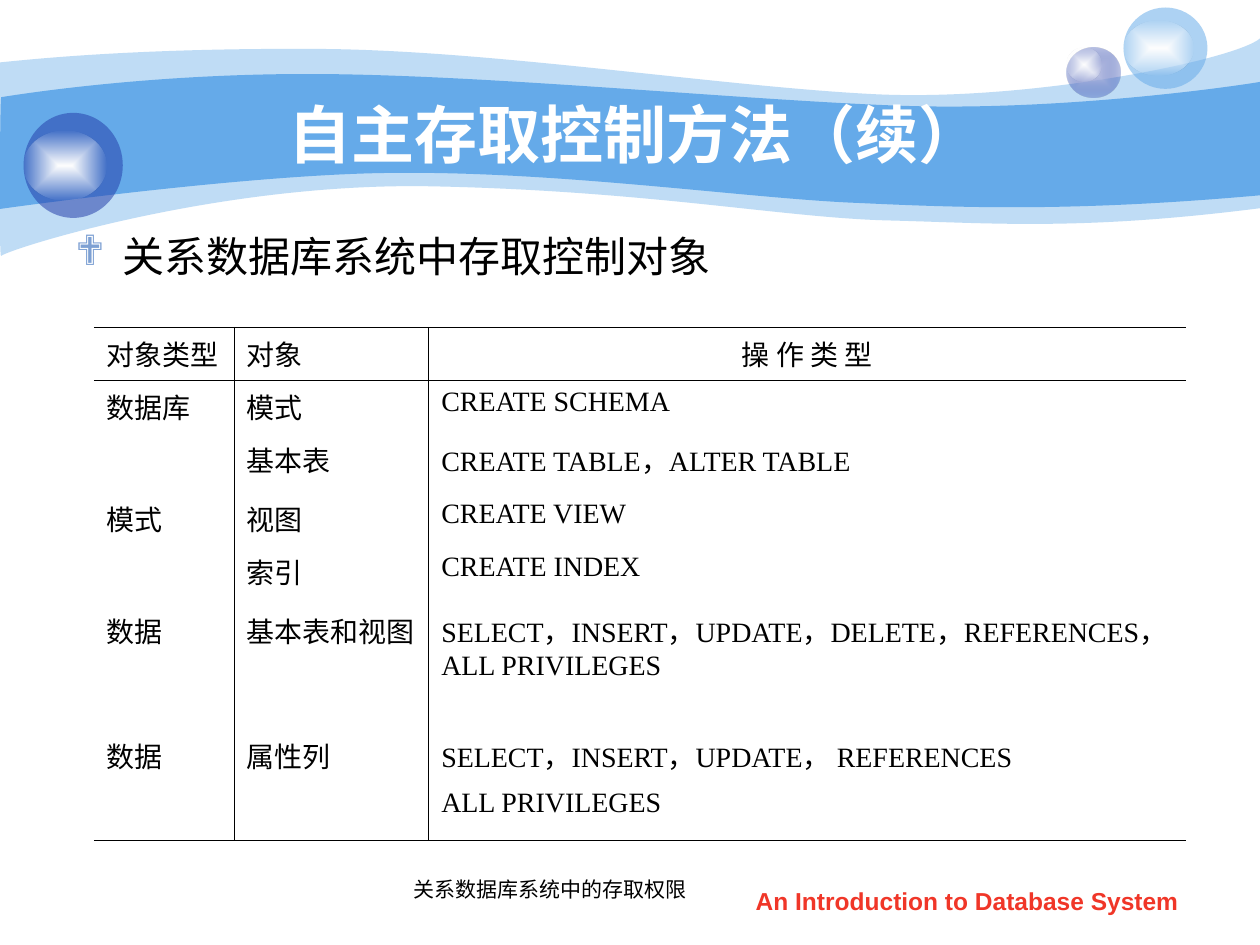
from dataclasses import dataclass

from lxml import etree
from pptx import Presentation
from pptx import util as u
from pptx.dml.color import RGBColor
from pptx.enum import shapes, text
from pptx.oxml import parse_xml
from pptx.oxml.ns import nsdecls, qn


@dataclass(frozen=True)
class Theme:
    sans: str = "Arial"
    serif: str = "Times New Roman"
    symbol: str = "Wingdings"
    ink: str = "000000"
    white: str = "FFFFFF"
    clear: str = "FEFEFE"
    sky: str = "65AAE9"
    navy: str = "233DA9"
    mist: str = "C6CCE8"
    bullet: str = "7DA0D3"
    accent: str = "F03628"
    title: int = 36
    body: int = 24
    spacer: int = 18
    cell: int = 16
    footer: int = 14
    caption: int = 12
    rule: float = 0.45
    hanging: int = 27


THEME = Theme()
NO_TABLE_STYLE = "{2D5ABB26-0587-4C30-8999-92F81FD0307C}"

OUTER_WAVE = [
    (0, 35.7),
    (17, 34), (77, 27.5), (178, 28),
    (278, 28), (414, 50), (503, 54),
    (592, 57.6), (706, 34), (720, 22),
    (720, 22), (720, 119), (720, 119),
    (618, 132), (567, 127.5), (508, 126),
    (448, 124.6), (371, 109), (247, 106.5),
    (124, 104), (3, 143), (0.7, 146.3),
    (-0.7, 150), (0, 54), (0, 35.7),
]
INNER_WAVE = [
    (0.7, 55.5),
    (1.5, 55.5), (79, 42), (178.5, 42.3),
    (278, 42.5), (428, 57.6), (517, 60.5),
    (606, 63.4), (703, 49.7), (720, 46.8),
    (720, 46.8), (720, 111.6), (720, 111.6),
    (614, 121), (551, 118.8), (491, 116),
    (431, 113.8), (322, 98), (228, 98.8),
    (146, 98.8), (-1.4, 119.5), (-0.7, 119.5),
    (0, 119.5), (0, 55.5), (0.7, 55.5),
]
COLUMNS = [80, 111.3, 432.5]
ROWS = [
    (30.3, "对象类型", "对象", "操 作 类 型"),
    (30.3, "数据库", "模式", "CREATE SCHEMA"),
    (33.7, "", "基本表", "CREATE TABLE，ALTER TABLE"),
    (30.3, "模式", "视图", "CREATE VIEW"),
    (33.7, "", "索引", "CREATE INDEX"),
    (71.4, "数据", "基本表和视图",
     "SELECT，INSERT，UPDATE，DELETE，REFERENCES，\nALL PRIVILEGES"),
    (30, "数据", "属性列", "SELECT，INSERT，UPDATE， REFERENCES"),
    (33.7, "", "", "ALL PRIVILEGES"),
]


def add_span(para, words, *, size, font, color, bold):
    span = para.add_run()
    span.text = words
    span.font.size = u.Pt(size)
    span.font.name = font
    span.font.bold = bold
    span.font.color.rgb = RGBColor.from_string(color)


def write(frame, words, *, size, font, color=THEME.ink, bold=False,
          align=text.PP_ALIGN.LEFT, before=0, hanging=0, bullet=None):
    frame.word_wrap = True
    for index, line in enumerate(words.split("\n")):
        para = frame.add_paragraph() if index else frame.paragraphs[0]
        para.alignment = align
        para.space_before = u.Pt(before)
        properties = para._p.get_or_add_pPr()
        if hanging:
            properties.set("marL", str(u.Pt(hanging)))
            properties.set("indent", str(-u.Pt(hanging)))
        if bullet:
            tint = etree.SubElement(properties, qn("a:buClr"))
            etree.SubElement(tint, qn("a:srgbClr"), val=THEME.bullet)
            etree.SubElement(properties, qn("a:buFont"), typeface=THEME.symbol)
            etree.SubElement(properties, qn("a:buChar"), char=bullet)
        add_span(para, line, size=size, font=font, color=color, bold=bold)


class SlideBuilder:
    """Draw styled elements on the current slide, with lengths in points."""

    def __init__(self, deck, theme):
        self.theme = theme
        self.page = deck.slides.add_slide(deck.slide_layouts[5])

    def paint(self, shape, color, opacity=100):
        shape.shadow.inherit = False
        shape.line.fill.background()
        shape.fill.solid()
        shape.fill.fore_color.rgb = RGBColor.from_string(color)
        if opacity < 100:
            tint = shape._element.spPr.find(f"{qn('a:solidFill')}/{qn('a:srgbClr')}")
            etree.SubElement(tint, qn("a:alpha"), val=str(opacity * 1000))

    def wave(self, points, color, opacity=100):
        corners = [tuple(map(u.Pt, point)) for point in points]
        builder = self.page.shapes.build_freeform(*corners[0])
        builder.add_line_segments(corners[1:], close=True)
        shape = builder.convert_to_shape()
        segments = list(shape._element.iter(qn("a:lnTo")))
        for index in range(0, len(segments), 3):
            trio = segments[index:index + 3]
            if points[index] == points[index + 1]  and points[index + 2] == points[index + 3]:
                for spare in trio[:2]:
                    spare.getparent().remove(spare)
                continue
            bend = etree.Element(qn("a:cubicBezTo"))
            trio[0].addprevious(bend)
            for segment in trio:
                bend.append(segment[0])
                segment.getparent().remove(segment)
        self.paint(shape, color, opacity)

    def ball(self, bounds, color, opacity=100):
        box = self.page.shapes.add_shape(shapes.MSO_SHAPE.OVAL, *map(u.Pt, bounds))
        self.paint(box, color, opacity)
        return box

    def glow(self, bounds, inner, outer, opacity=0):
        properties = self.ball(bounds, inner)._element.spPr
        gradient = parse_xml(
            f'<a:gradFill {nsdecls("a")} rotWithShape="1"><a:gsLst>'
            f'<a:gs pos="0"><a:srgbClr val="{inner}"/></a:gs>'
            f'<a:gs pos="100000"><a:srgbClr val="{outer}">'
            f'<a:alpha val="{opacity * 1000}"/></a:srgbClr></a:gs></a:gsLst>'
            '<a:path path="rect"><a:fillToRect l="50000" t="50000" r="50000" b="50000"/>'
            '</a:path></a:gradFill>')
        properties.replace(properties.find(qn("a:solidFill")), gradient)

    def title(self, words, bounds):
        box = self.page.shapes.title
        box.left, box.top, box.width, box.height = map(u.Pt, bounds)
        box._element.getparent().append(box._element)
        box.text_frame.auto_size = text.MSO_AUTO_SIZE.NONE
        box.text_frame.vertical_anchor = text.MSO_ANCHOR.MIDDLE
        write(box.text_frame, words, size=self.theme.title, font=self.theme.sans,
              color=self.theme.white, bold=True, align=text.PP_ALIGN.CENTER)

    def label(self, words, bounds, **style):
        box = self.page.shapes.add_textbox(*map(u.Pt, bounds))
        write(box.text_frame, words, **style)
        return box

    def caption(self, words, bounds):
        style = dict(font=self.theme.serif, color=self.theme.ink)
        frame = self.label(words, bounds, size=self.theme.caption, **style).text_frame
        add_span(frame.paragraphs[0], " ", size=self.theme.spacer, bold=True, **style)
        frame.vertical_anchor = text.MSO_ANCHOR.MIDDLE
        frame.word_wrap = False
        frame.auto_size = text.MSO_AUTO_SIZE.SHAPE_TO_FIT_TEXT

    def border(self, cell, sides):
        properties = cell._tc.get_or_add_tcPr()
        for side in "LRTB":
            line = etree.SubElement(properties, qn(f"a:ln{side}"),
                                    w=str(u.Pt(self.theme.rule)))
            if side in sides:
                fill = etree.SubElement(line, qn("a:solidFill"))
                etree.SubElement(fill, qn("a:srgbClr"), val=self.theme.ink)
            else:
                etree.SubElement(line, qn("a:noFill"))

    def table(self, left, top, columns, rows):
        height = sum(row[0] for row in rows)
        table = self.page.shapes.add_table(
            len(rows), len(columns), u.Pt(left), u.Pt(top),
            u.Pt(sum(columns)), u.Pt(height)).table
        table.first_row = table.horz_banding = False
        table._tbl.tblPr.find(qn("a:tableStyleId")).text = NO_TABLE_STYLE
        for column, width in zip(table.columns, columns):
            column.width = u.Pt(width)
        for r, (row_height, *entries) in enumerate(rows):
            table.rows[r].height = u.Pt(row_height)
            for c, words in enumerate(entries):
                cell = table.cell(r, c)
                sides = ("L" if c else "") + ("R" if c < len(columns) - 1 else "")
                sides += ("T" if r < 2 else "") + ("B" if r in (0, len(rows) - 1) else "")
                self.border(cell, sides)
                cell.fill.background()
                if words:
                    centred = r == 0 and c == len(columns) - 1
                    write(cell.text_frame, words, size=self.theme.cell,
                          font=self.theme.serif, hanging=self.theme.hanging,
                          align=text.PP_ALIGN.CENTER if centred else text.PP_ALIGN.LEFT)


def main():
    deck = Presentation()
    deck.slide_width, deck.slide_height = u.Pt(720), u.Pt(540)
    slide = SlideBuilder(deck, THEME)
    slide.wave(OUTER_WAVE, THEME.sky, 41)
    slide.wave(INNER_WAVE, THEME.sky)
    slide.glow((609.5, 27, 31, 29), THEME.mist, THEME.navy, 31)
    slide.glow((609.5, 27, 20, 19.5), THEME.white, THEME.clear)
    slide.ball((642, 4.3, 48, 46.5), THEME.sky, 53)
    slide.glow((642, 12, 40, 31), THEME.white, THEME.clear)
    slide.ball((13.5, 64.5, 56.7, 60), THEME.navy, 53)
    slide.glow((13.5, 74.5, 47.5, 40), THEME.white, THEME.clear)
    slide.title("自主存取控制方法（续）", (72, 54, 582, 44.5))
    slide.label("关系数据库系统中存取控制对象", (36, 128, 647, 154),
                size=THEME.body, font=THEME.sans, before=6,
                hanging=THEME.hanging, bullet="❖")
    slide.table(53.7, 187, COLUMNS, ROWS)
    slide.caption("关系数据库系统中的存取权限", (229.5, 491, 175, 29))
    slide.label("An Introduction to Database System", (411, 502.5, 283.5, 25),
                size=THEME.footer, font=THEME.sans, color=THEME.accent,
                bold=True, align=text.PP_ALIGN.CENTER)
    deck.save("out.pptx")


if __name__ == "__main__":
    main()
